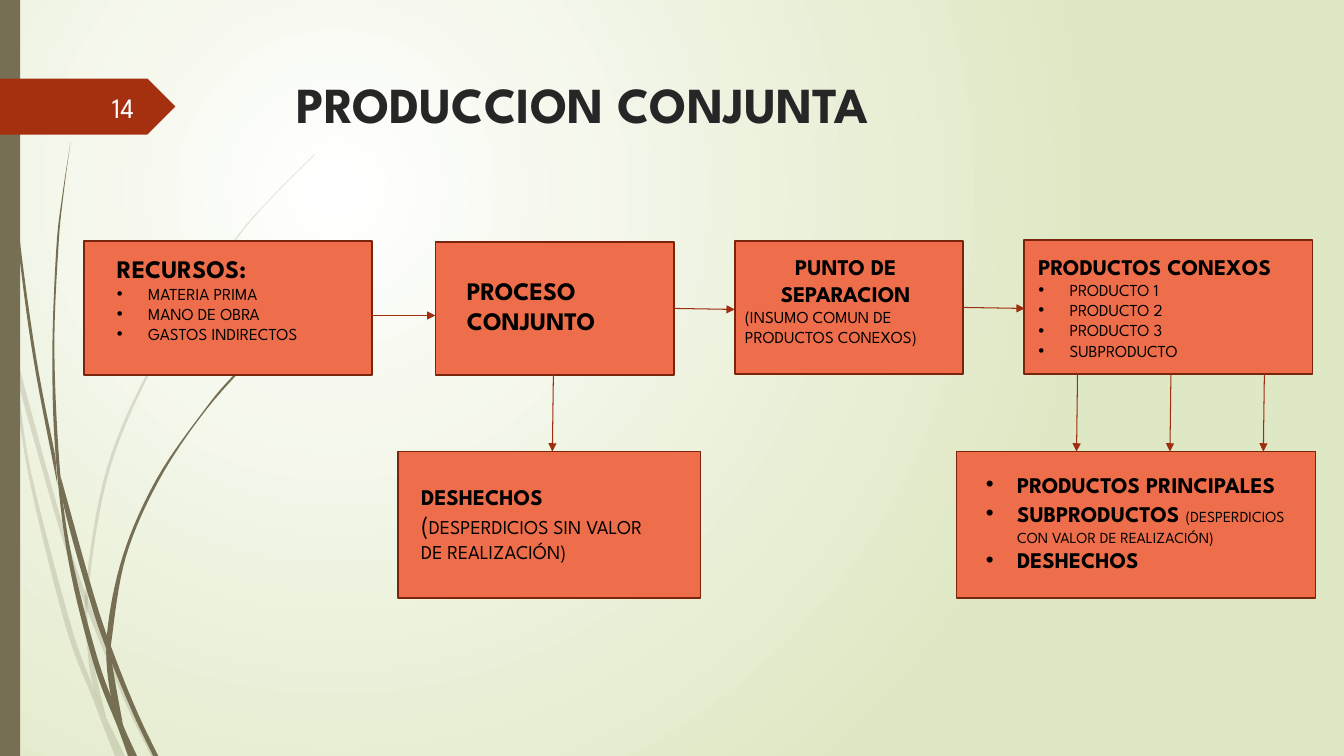
import lxml.etree
import pptx
import pptx.dml.color
import pptx.enum.dml
import pptx.enum.shapes
import pptx.enum.text
import pptx.oxml.ns
import pptx.util

RGBColor = pptx.dml.color.RGBColor
SHAPES = pptx.enum.shapes.MSO_SHAPE
ALIGN = pptx.enum.text.PP_ALIGN
ANCHOR = pptx.enum.text.MSO_ANCHOR
qn = pptx.oxml.ns.qn

WHITE = RGBColor(0xFF, 0xFF, 0xFF)
PALE_GREEN = RGBColor(0xDF, 0xE8, 0xC4)
OLIVE = RGBColor(0x76, 0x6F, 0x54)
RUST = RGBColor(0xA5, 0x30, 0x10)
CORAL = RGBColor(0xEE, 0x6E, 0x4B)
BROWN = RGBColor(0x7A, 0x24, 0x0C)
ARROW_RED = RGBColor(0x9E, 0x2E, 0x0F)
CHARCOAL = RGBColor(0x26, 0x26, 0x26)
BLACK = RGBColor(0, 0, 0)

FONT = "League Spartan"
WIDTH = pptx.util.Inches(13.33)
HEIGHT = pptx.util.Inches(7.5)
COLUMN = WIDTH / 40
ROW = HEIGHT / 30

FAINT_STRANDS = [
    ([(0, 2.99), (0.1, 3.44), (0.17, 3.76), (0.58, 5.22), (0.84, 5.99), (1.23, 6.94), (1.5, 7.5)],
     [(1.55, 7.5), (1.27, 6.92), (0.92, 6.07), (0.62, 5.2), (0.14, 3.45), (0.09, 3.22), (0, 2.82)]),
    ([(0.11, 3.5), (0.28, 4.7), (0.65, 6.21), (0.92, 6.93), (1.14, 7.5)],
     [(1.24, 7.5), (1.05, 7.11), (0.93, 6.83), (0.7, 6.19), (0.31, 4.69), (0.17, 3.76), (0.11, 3.5)]),
    ([(3.12, 1.53), (2.68, 1.97), (2.28, 2.44), (1.58, 3.48), (1.07, 4.61), (0.85, 5.84),
      (0.87, 6.46), (0.93, 6.83), (1.05, 7.11)],
     [(1.05, 7.11), (0.91, 6.46), (0.88, 5.84), (1.1, 4.62), (1.6, 3.49), (2.29, 2.45),
      (2.68, 1.98), (3.12, 1.54)]),
]
DARK_STRANDS = [
    ([(0.03, 0), (0.07, 1.1), (0.17, 2.33), (0.33, 3.55), (0.57, 4.81)],
     [(0.55, 4.53), (0.36, 3.55), (0.19, 2.32), (0.08, 1.09), (0.04, 0)]),
    ([(0.7, 1.41), (0.62, 1.93), (0.56, 2.45), (0.52, 3.49), (0.55, 4.49), (0.68, 5.57),
      (0.93, 6.59), (1.17, 7.22), (1.27, 7.5)],
     [(1.36, 7.5), (1.22, 7.19), (0.98, 6.57), (0.72, 5.56), (0.6, 4.72), (0.54, 3.49),
      (0.58, 2.45), (0.63, 1.93), (0.7, 1.41)]),
    ([(0.6, 4.72), (0.64, 5.05), (0.88, 5.92), (1.06, 6.45), (1.32, 7.08), (1.52, 7.5)],
     [(1.57, 7.5), (1.36, 7.06), (1.13, 6.49), (0.93, 5.9), (0.6, 4.72)]),
    ([(2.61, 3.44), (2.31, 3.73), (2.04, 4.05), (1.56, 4.74), (1.22, 5.51), (1.06, 6.31),
      (1.1, 6.91), (1.22, 7.19)],
     [(1.22, 7.19), (1.11, 6.56), (1.11, 6.33), (1.25, 5.52), (1.58, 4.76), (2.05, 4.06),
      (2.61, 3.44)]),
]


def grid(left, top, width, height):
    return [round(n) for n in (left * COLUMN, top * ROW, width * COLUMN, height * ROW)]


def place(shape, area):
    shape.left, shape.top, shape.width, shape.height = grid(*area)


def paint_background(slide):
    fill = slide.background.fill
    fill.gradient()
    for stop, color in zip(fill.gradient_stops, (WHITE, PALE_GREEN)):
        stop.color.rgb = color
    fill.gradient_stops[0].position = 0
    fill.gradient_stops[1].position = 1
    gradient = slide.background._cSld.find(".//" + qn("a:gradFill"))
    gradient.remove(gradient.find(qn("a:lin")))
    circle = lxml.etree.SubElement(gradient, qn("a:path"), path="circle")
    lxml.etree.SubElement(circle, qn("a:fillToRect"), l="50000", t="50000", r="100000", b="100000")


def smooth_edge(points, steps=8):
    padded = [points[0], *points, points[-1]]
    edge = []
    for a, b, c, d in zip(padded, padded[1:], padded[2:], padded[3:]):
        for step in range(steps):
            t = step / steps
            edge.append(tuple(
                pptx.util.Inches(0.5 * (2 * q + (r - p) * t + (2 * p - 5 * q + 4 * r - s) * t ** 2
                                        + (3 * q - p - 3 * r + s) * t ** 3))
                for p, q, r, s in zip(a, b, c, d)))
    return edge + [tuple(pptx.util.Inches(n) for n in points[-1])]


def add_strand(slide, edges, opacity):
    outline = smooth_edge(edges[0]) + smooth_edge(edges[1])
    builder = slide.shapes.build_freeform(*outline[0])
    builder.add_line_segments(outline[1:], close=True)
    strand = builder.convert_to_shape()
    paint(strand, OLIVE)
    if opacity < 100:
        color = strand.fill._xPr.find(".//" + qn("a:srgbClr"))
        lxml.etree.SubElement(color, qn("a:alpha"), val=str(opacity * 1000))


def paint(shape, color, border=None):
    shape.shadow.inherit = False
    shape.fill.solid()
    shape.fill.fore_color.rgb = color
    if border is None:
        shape.line.fill.background()
    else:
        shape.line.color.rgb = border
        shape.line.width = pptx.util.Pt(1.25)


def add_block(slide, kind, area, color, border=None):
    paint(slide.shapes.add_shape(kind, *grid(*area)), color, border)


def add_arrow(slide, start, end):
    x1, y1, x2, y2 = grid(*start, *end)
    arrow = slide.shapes.add_connector(pptx.enum.shapes.MSO_CONNECTOR.STRAIGHT, x1, y1, x2, y2)
    arrow.line.color.rgb = ARROW_RED
    arrow.line.width = pptx.util.Pt(0.75)
    lxml.etree.SubElement(arrow.line._get_or_add_ln(), qn("a:tailEnd"), type="triangle")
    lxml.etree.SubElement(arrow._element.spPr, qn("a:effectLst"))


def set_bullet(paragraph, bulleted):
    properties = paragraph._p.get_or_add_pPr()
    indent = pptx.util.Inches(0.31) if bulleted else 0
    properties.set("marL", str(indent))
    properties.set("indent", str(-indent))
    if bulleted:
        lxml.etree.SubElement(properties, qn("a:buFont"), typeface="Arial")
        lxml.etree.SubElement(properties, qn("a:buChar"), char="•")
    else:
        lxml.etree.SubElement(properties, qn("a:buNone"))


def write(holder, paragraphs, color=BLACK, anchor=ANCHOR.TOP):
    frame = holder.text_frame
    frame.text = "\n".join("".join(words for words, *_ in runs) for runs, *_ in paragraphs)
    frame.word_wrap = True
    frame.auto_size = pptx.enum.text.MSO_AUTO_SIZE.NONE
    frame.vertical_anchor = anchor
    frame.margin_left = frame.margin_right = pptx.util.Inches(0.1)
    frame.margin_top = frame.margin_bottom = pptx.util.Inches(0.05)
    for paragraph, (runs, bulleted, align) in zip(frame.paragraphs, paragraphs):
        paragraph.alignment = align
        paragraph.space_before = pptx.util.Pt(0)
        set_bullet(paragraph, bulleted)
        paragraph.runs[0].text = runs[0][0]
        for words, *_ in runs[1:]:
            paragraph.add_run().text = words
        for run, (_, size, bold) in zip(paragraph.runs, runs):
            run.font.name = FONT
            run.font.size = pptx.util.Pt(size)
            run.font.bold = bold
            run.font.color.rgb = color


def line(*runs, bulleted=False, align=ALIGN.LEFT):
    return runs, bulleted, align


def small_list(*items):
    return [line((item, 12, False), bulleted=True) for item in items]


def add_step(slide, area, text_area, paragraphs, body=None):
    add_block(slide, SHAPES.RECTANGLE, area, CORAL, BROWN)
    holder = body or slide.shapes.add_textbox(0, 0, 0, 0)
    slide.shapes._spTree.append(holder._element)
    place(holder, text_area)
    write(holder, paragraphs)


def main():
    deck = pptx.Presentation()
    deck.slide_width, deck.slide_height = WIDTH, HEIGHT
    slide = deck.slides.add_slide(deck.slide_layouts[4])
    title, resources, separation, products, results = slide.placeholders
    paint_background(slide)
    for strands, opacity in ((FAINT_STRANDS, 20), (DARK_STRANDS, 100)):
        for edges in strands:
            add_strand(slide, edges, opacity)
    add_block(slide, SHAPES.RECTANGLE, (0, 0, 0.6, 30), OLIVE)
    add_block(slide, SHAPES.PENTAGON, (0, 3.12, 5.22, 2.22), RUST)

    place(title, (8.52, 2.72, 29.25, 2.8))
    write(title, [line(("PRODUCCION CONJUNTA", 36, True))], CHARCOAL)
    page_number = slide.shapes.add_textbox(*grid(1.74, 3.44, 2.55, 1.6))
    write(page_number, [line(("14", 20, False), align=ALIGN.RIGHT)], WHITE, ANCHOR.MIDDLE)

    add_step(slide, (2.5, 9.56, 8.57, 5.32), (3.18, 9.84, 7.86, 4.04), [
        line(("RECURSOS:", 18, True)),
        *small_list("MATERIA PRIMA", "MANO DE OBRA", "GASTOS INDIRECTOS")], resources)
    add_step(slide, (12.96, 9.6, 7.1, 5.28), (13.6, 10.72, 5.85, 2.84),
             [line(("PROCESO CONJUNTO", 18, True))])
    add_step(slide, (21.87, 9.56, 6.8, 5.28), (21.87, 9.84, 6.6, 4.16), [
        line(("PUNTO DE SEPARACION", 16, True), align=ALIGN.CENTER),
        line(("(INSUMO COMUN DE PRODUCTOS CONEXOS)", 12, False))], separation)
    add_step(slide, (30.48, 9.52, 8.58, 5.32), (30.6, 9.84, 8.16, 4.72), [
        line(("PRODUCTOS CONEXOS", 16, True)),
        *small_list("PRODUCTO 1", "PRODUCTO 2", "PRODUCTO 3", "SUBPRODUCTO")], products)
    add_step(slide, (28.47, 17.92, 10.68, 5.8), (29.04, 18.48, 9.72, 5.24), [
        line(("PRODUCTOS PRINCIPALES", 16, True), bulleted=True),
        line(("SUBPRODUCTOS", 16, True), (" ", 18, False),
             ("(DESPERDICIOS CON VALOR DE REALIZACIÓN)", 11, False), bulleted=True),
        line(("DESHECHOS", 16, True), bulleted=True)], results)
    add_step(slide, (11.85, 17.92, 9, 5.8), (12.24, 18.96, 7.74, 3.64), [
        line(("DESHECHOS", 16, True)),
        line(("(", 18, False), ("DESPERDICIOS SIN VALOR DE REALIZACIÓN)", 14, False))])

    add_arrow(slide, (11.05, 12.52), (12.96, 12.52))
    add_arrow(slide, (20.07, 12.24), (21.87, 12.28))
    add_arrow(slide, (28.68, 12.2), (30.5, 12.24))
    for column in (16.47, *(32.07 + 2.78 * n for n in range(3))):
        add_arrow(slide, (column, 14.84), (column - 0.03, 17.92))
    deck.save("out.pptx")


if __name__ == "__main__":
    main()
